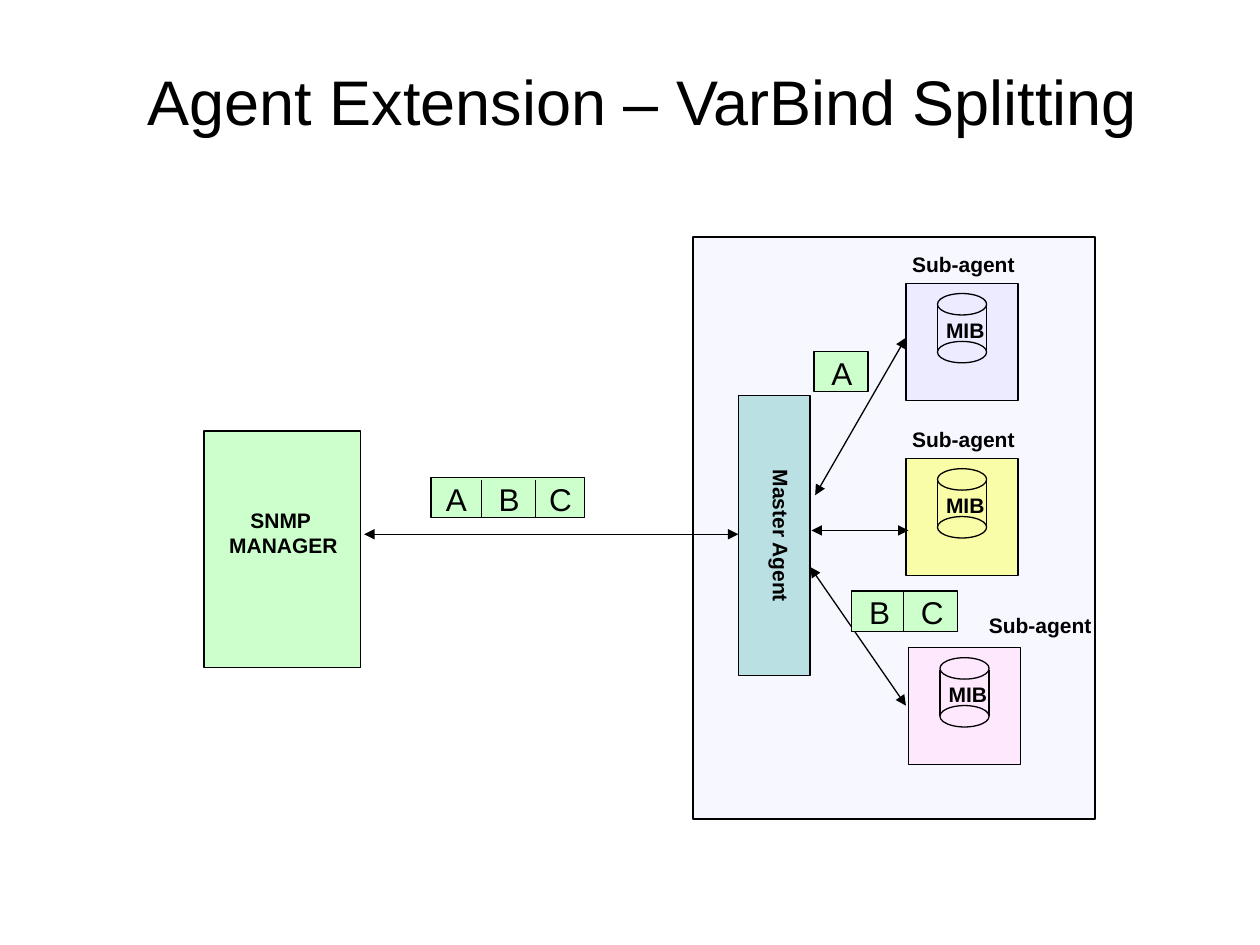
import lxml.etree
import pptx
import pptx.util
import pptx.dml.color
import pptx.enum.shapes
import pptx.enum.text
import pptx.oxml.ns
from pptx.util import Inches

COLORS = {
    "ink": "000000", "panel": "F7F7FF", "lilac": "ECEBFF", "yellow": "F9FDA7",
    "pink": "FEE8FE", "teal": "BBE0E3", "green": "CCFFCC",
}
RECT = pptx.enum.shapes.MSO_SHAPE.RECTANGLE
OVAL = pptx.enum.shapes.MSO_SHAPE.OVAL
CENTER = pptx.enum.text.PP_ALIGN.CENTER


class Deck:
    font = "Arial"
    line_width = 0.75

    def __init__(self, width, height):
        self.prs = pptx.Presentation()
        self.prs.slide_width, self.prs.slide_height = Inches(width), Inches(height)
        self.s = self.prs.slides.add_slide(self.prs.slide_layouts[5])

    def color(self, name):
        return pptx.dml.color.RGBColor.from_string(COLORS[name])

    def stroke(self, line):
        line.color.rgb = self.color("ink")
        line.width = pptx.util.Pt(self.line_width)

    def add_runs(self, tf, lines, size, bold=False, align=None):
        for i, line in enumerate(lines):
            p = tf.paragraphs[0] if i == 0 else tf.add_paragraph()
            p.alignment = align
            r = p.add_run()
            r.text = line
            r.font.name, r.font.bold = self.font, bold
            r.font.size = pptx.util.Pt(size)
            r.font.color.rgb = self.color("ink")

    def title(self, x, y, w, h, text):
        sp = self.s.shapes.title
        sp.left, sp.top, sp.width, sp.height = map(Inches, (x, y, w, h))
        sp.text_frame.vertical_anchor = pptx.enum.text.MSO_ANCHOR.MIDDLE
        self.add_runs(sp.text_frame, [text], 36, align=CENTER)

    def shape(self, x, y, w, h, fill=None, kind=RECT):
        sp = self.s.shapes.add_shape(kind, *map(Inches, (x, y, w, h)))
        sp.shadow.inherit = False
        if fill:
            sp.fill.solid()
            sp.fill.fore_color.rgb = self.color(fill)
        else:
            sp.fill.background()
        self.stroke(sp.line)

    def line(self, x1, y1, x2, y2, arrows=False):
        kind = pptx.enum.shapes.MSO_CONNECTOR.STRAIGHT
        c = self.s.shapes.add_connector(kind, *map(Inches, (x1, y1, x2, y2)))
        self.stroke(c.line)
        qn = pptx.oxml.ns.qn
        props = c._element.spPr
        if arrows:
            for end in ("a:headEnd", "a:tailEnd"):
                lxml.etree.SubElement(props.find(qn("a:ln")), qn(end), type="triangle")
        lxml.etree.SubElement(props, qn("a:effectLst"))

    def text(self, x, y, w, h, lines, size=12, bold=True, align=None, vert=None):
        tf = self.s.shapes.add_textbox(*map(Inches, (x, y, w, h))).text_frame
        tf.word_wrap = False
        tf.auto_size = pptx.enum.text.MSO_AUTO_SIZE.SHAPE_TO_FIT_TEXT
        if vert:
            tf._txBody.bodyPr.set("vert", vert)
        self.add_runs(tf, lines, size, bold, align)

    def letter(self, x, y, char):
        self.text(x, y, 0.37, 0.4, [char], size=18, bold=False)

    def letter_box(self, x, y, char):
        self.shape(x, y, 0.43, 0.32, "green")
        self.letter(x + 0.04, y - 0.03, char)

    def sub_agent(self, x, y, fill):
        self.shape(x, y, 0.89, 0.93, fill)
        for dy in (0.08, 0.46):
            self.shape(x + 0.25, y + dy, 0.39, 0.17, kind=OVAL)
        for dx in (0.25, 0.64):
            self.line(x + dx, y + 0.18, x + dx, y + 0.54)
        self.text(x + 0.22, y + 0.22, 0.51, 0.3, ["MIB"])


deck = Deck(10, 7.5)
deck.title(0.6, 0.17, 9, 1.25, "Agent Extension \u2013 VarBind Splitting")
deck.shape(5.5, 1.88, 3.19, 4.62, "panel")

for x, y, fill in ((7.19, 2.25, "lilac"), (7.19, 3.64, "yellow"), (7.21, 5.14, "pink")):
    deck.sub_agent(x, y, fill)

deck.shape(5.86, 3.14, 0.57, 2.22, "teal")
deck.shape(1.62, 3.42, 1.24, 1.88, "green")
for ends in ((6.47, 3.93, 7.19, 2.68), (6.44, 4.21, 7.21, 4.21),
             (6.43, 4.5, 7.19, 5.6), (2.89, 4.24, 5.86, 4.24)):
    deck.line(*ends, arrows=True)

deck.shape(3.42, 3.79, 1.22, 0.32, "green")
for x in (3.82, 4.25):
    deck.line(x, 3.81, x, 4.11)
for x, char in ((3.44, "A"), (3.86, "B"), (4.26, "C")):
    deck.letter(x, 3.76, char)
for x, y, char in ((6.46, 2.79, "A"), (6.76, 4.69, "B"), (7.17, 4.69, "C")):
    deck.letter_box(x, y, char)

for x, y in ((7.14, 1.95), (7.14, 3.34), (7.75, 4.81)):
    deck.text(x, y, 1.02, 0.3, ["Sub-agent"])
deck.text(5.95, 3.63, 0.4, 1.15, ["Master Agent"], vert="eaVert")
deck.text(1.72, 3.98, 1.06, 0.5, ["SNMP ", "MANAGER"], align=CENTER)

deck.prs.save("out.pptx")
